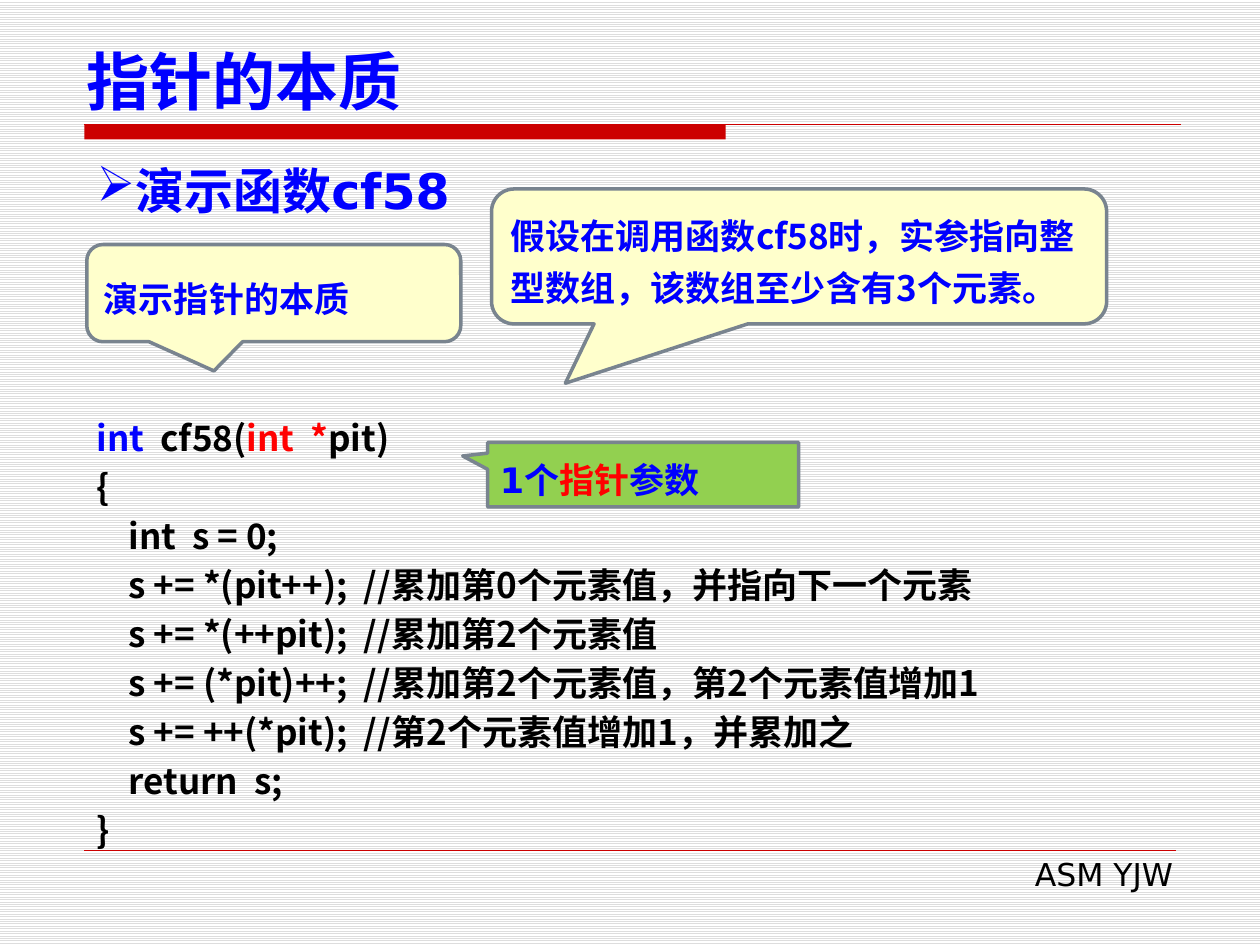
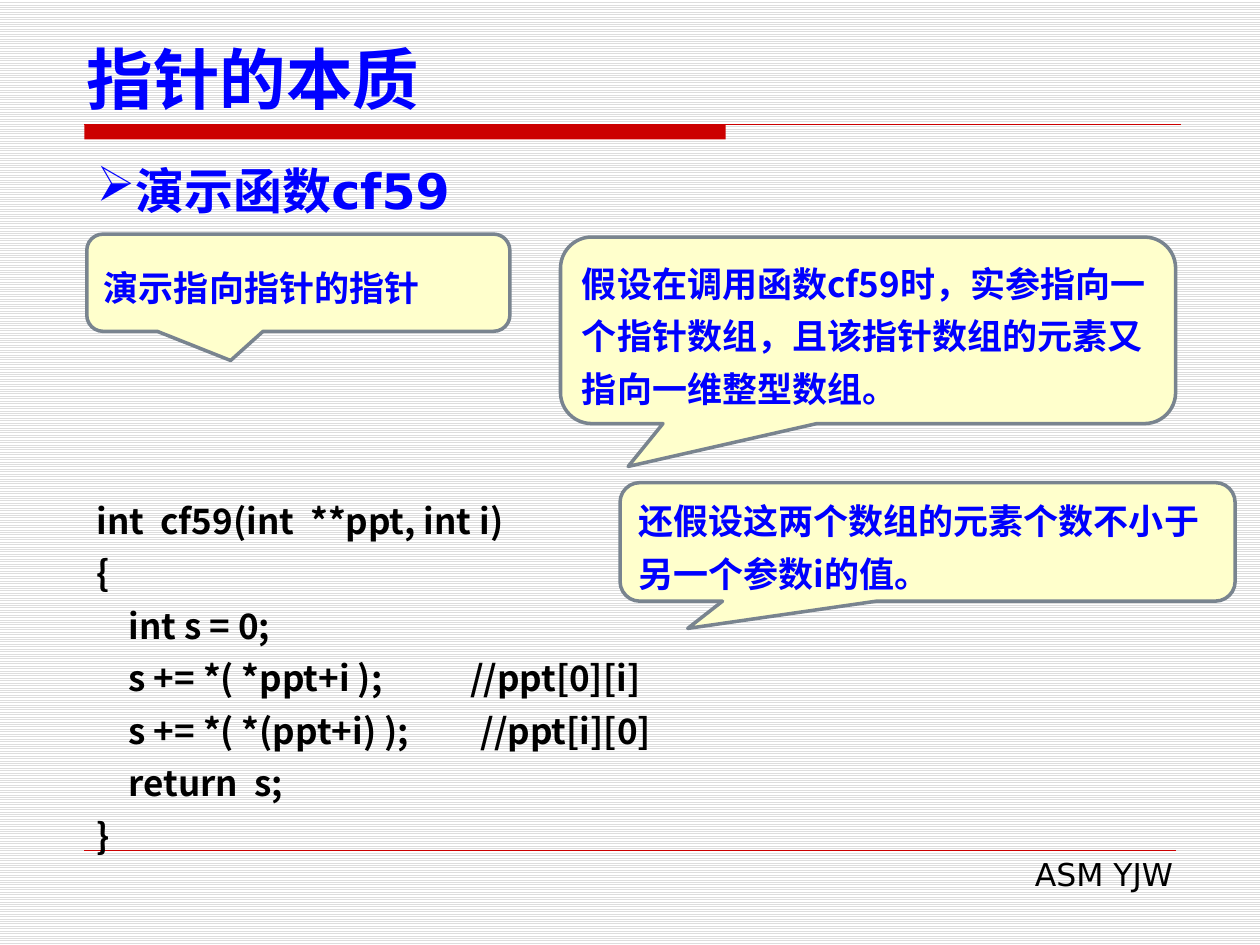
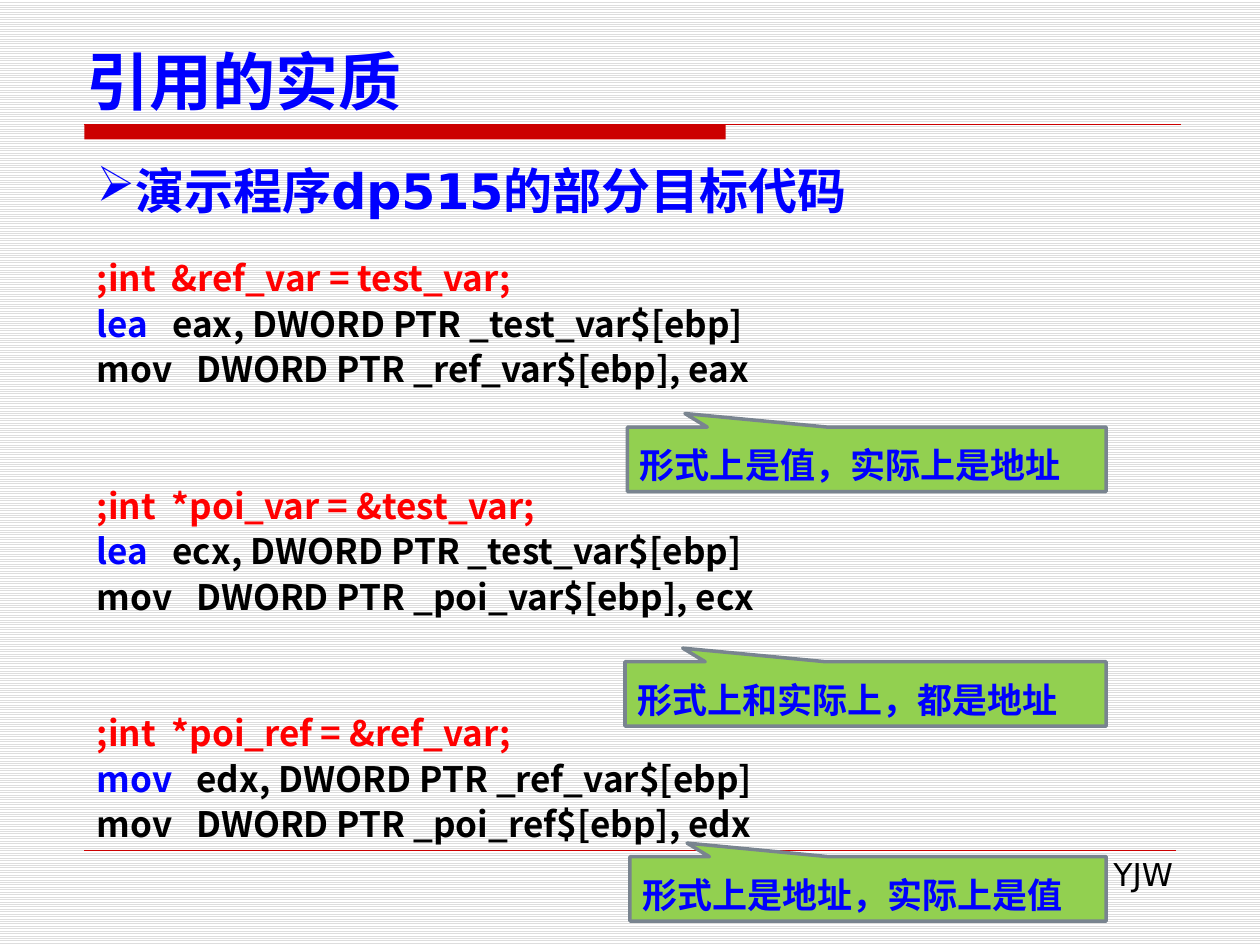
from lxml.etree import SubElement
from pptx import Presentation
from pptx.dml.color import RGBColor
from pptx.enum.dml import MSO_PATTERN
from pptx.enum.shapes import MSO_CONNECTOR, MSO_SHAPE
from pptx.enum.text import MSO_ANCHOR, PP_ALIGN
from pptx.oxml.ns import qn
from pptx.util import Cm, Pt

COLORS = {
    "blue": "0000FF", "red": "FF0000", "black": "000000", "white": "FFFFFF",
    "stripe": "DDDDDD", "rule": "CC0000", "cream": "FFFFCC",
    "green": "92D050", "outline": "79848F",
}
CJK = "Noto Sans CJK SC"
LATIN = "DejaVu Sans"
LEFT = 1.7
NOTE_POINTER = (-0.39, 0.73, 0.167)
TOPIC_POINTER = (-0.16, 0.8, 0.167)
LABEL_POINTER = (-0.38, -0.71)


def color(name):
    return RGBColor.from_string(COLORS[name])


class Deck:
    """Holds the shared style and the current slide."""

    def __init__(self):
        self.presentation = Presentation()
        self.presentation.slide_width = Cm(25.4)
        self.presentation.slide_height = Cm(19.05)
        self.slide = None

    def new_slide(self, title, heading, title_size=36, title_font=CJK):
        layout = self.presentation.slide_layouts[6]
        self.slide = self.presentation.slides.add_slide(layout)
        background = self.slide.background.fill
        background.patterned()
        background.pattern = MSO_PATTERN.LIGHT_HORIZONTAL
        background.fore_color.rgb = color("stripe")
        background.back_color.rgb = color("white")

        # Title band and footer
        self.shape(MSO_SHAPE.RECTANGLE, (LEFT, 2.51, 12.93, 0.3), "rule")
        self.rule(2.51, 23.8, 0.75)
        self.rule(17.15, 23.7, 0.25)
        footer = self.text_box((9.7, 17.12, 14.2, 1.02))
        self.paragraph(footer, [("ASM YJW", "black")], 18, LATIN, bold=False,
                       align=PP_ALIGN.RIGHT)

        # Title and heading
        frame = self.text_box((1.5, 0.71, 23, 1.8))
        frame.vertical_anchor = MSO_ANCHOR.BOTTOM
        self.paragraph(frame, [(title, "blue")], title_size, title_font)
        frame = self.text_box((LEFT, 3.12, 22, 1.45))
        self.paragraph(frame, [(heading, "blue")], 28, LATIN,
                       align=PP_ALIGN.JUSTIFY, bullet="➢")

    def shape(self, kind, box, fill):
        shape = self.slide.shapes.add_shape(kind, *map(Cm, box))
        shape.shadow.inherit = False
        shape.fill.solid()
        shape.fill.fore_color.rgb = color(fill)
        shape.line.fill.background()
        return shape

    def rule(self, top, right, width):
        connector = self.slide.shapes.add_connector(
            MSO_CONNECTOR.STRAIGHT, Cm(LEFT), Cm(top), Cm(right), Cm(top))
        connector.line.color.rgb = color("rule")
        connector.line.width = Pt(width)
        SubElement(connector._element.spPr, qn("a:effectLst"))

    def text_box(self, box):
        frame = self.slide.shapes.add_textbox(*map(Cm, box)).text_frame
        frame.word_wrap = True
        return frame

    def paragraph(self, frame, runs, size=20, font=CJK, bold=True,
                  align=PP_ALIGN.LEFT, spacing=None, before=0, bullet=None):
        """Add one paragraph; the first call fills the frame's own."""
        paragraph = frame.paragraphs[0]
        if paragraph.runs:
            paragraph = frame.add_paragraph()
        paragraph.alignment = align
        if spacing:
            paragraph.line_spacing = Pt(spacing)
        if before:
            paragraph.space_before = Pt(before)
        if bullet:
            properties = paragraph._p.get_or_add_pPr()
            SubElement(properties, qn("a:buChar")).set("char", bullet)
        for text, run_color in runs:
            run = paragraph.add_run()
            run.text = text
            run.font.size = Pt(size)
            run.font.bold = bold
            run.font.name = font
            run.font.color.rgb = color(run_color)
            SubElement(run._r.get_or_add_rPr(), qn("a:ea")).set("typeface", CJK)

    def code(self, box, lines, spacing):
        """Add code lines, each a plain string or a list of runs."""
        frame = self.text_box(box)
        for line in lines:
            runs = [(line, "black")] if isinstance(line, str) else line
            self.paragraph(frame, runs, spacing=spacing)

    def callout(self, kind, box, runs, pointer, fill, font):
        shape = self.shape(kind, box, fill)
        shape.line.color.rgb = color("outline")
        shape.line.width = Pt(2)
        for index, value in enumerate(pointer):
            shape.adjustments[index] = value
        shape.text_frame.word_wrap = True
        shape.text_frame.vertical_anchor = MSO_ANCHOR.MIDDLE
        self.paragraph(shape.text_frame, runs, font=font, spacing=30)

    def note(self, box, text, pointer=NOTE_POINTER):
        self.callout(MSO_SHAPE.ROUNDED_RECTANGULAR_CALLOUT, box,
                     [(text, "blue")], pointer, "cream", CJK)

    def label(self, box, runs, pointer=LABEL_POINTER):
        self.callout(MSO_SHAPE.RECTANGULAR_CALLOUT, box, runs, pointer,
                     "green", LATIN)


def pointer_slide(deck):
    deck.new_slide("指针的本质", "演示函数cf58")
    deck.code((LEFT, 8.13, 21.62, 9.25), [
        [("int  ", "blue"), ("cf58(", "black"), ("int  *", "red"),
         ("pit)", "black")],
        "{",
        "    int  s = 0;",
        "    s += *(pit++);  //累加第0个元素值，并指向下一个元素",
        "    s += *(++pit);  //累加第2个元素值",
        "    s += (*pit)++;  //累加第2个元素值，第2个元素值增加1",
        "    s += ++(*pit);  //第2个元素值增加1，并累加之",
        "    return  s;",
        "}",
    ], 28)
    deck.note((1.75, 4.93, 7.54, 1.96), "演示指针的本质", TOPIC_POINTER)
    deck.label((9.83, 8.92, 6.27, 1.3),
               [("1个", "blue"), ("指针", "red"), ("参数", "blue")],
               (-0.58, -0.29))
    deck.note((9.91, 3.81, 12.4, 2.72),
              "假设在调用函数cf58时，实参指向整型数组，该数组至少含有3个元素。",
              (-0.38, 0.94, 0.167))


def double_pointer_slide(deck):
    deck.new_slide("指针的本质", "演示函数cf59", 38, LATIN)
    deck.code((LEFT, 9.73, 16.81, 7.59), [
        "int  cf59(int  **ppt, int i)",
        "{",
        "    int s = 0;",
        "    s += *( *ppt+i );           //ppt[0][i]",
        "    s += *( *(ppt+i) );         //ppt[i][0]",
        "    return  s;",
        "}",
    ], 30)
    deck.note((1.75, 4.72, 8.53, 1.96), "演示指向指针的指针", TOPIC_POINTER)
    deck.note((11.3, 4.78, 12.4, 3.76),
              "假设在调用函数cf59时，实参指向一个指针数组，"
              "且该指针数组的元素又指向一维整型数组。")
    deck.note((12.5, 9.73, 12.4, 2.39),
              "还假设这两个数组的元素个数不小于另一个参数i的值。")


def reference_slide(deck):
    deck.new_slide("引用的实质", "演示程序dp515的部分目标代码")

    # Source line, load instruction, operand, store instruction
    groups = [
        (";int  &ref_var = test_var;", "lea   ",
         "eax, DWORD PTR _test_var$[ebp]",
         "mov   DWORD PTR _ref_var$[ebp], eax"),
        (";int  *poi_var = &test_var;", "lea   ",
         "ecx, DWORD PTR _test_var$[ebp]",
         "mov   DWORD PTR _poi_var$[ebp], ecx"),
        (";int  *poi_ref = &ref_var;", "mov   ",
         "edx, DWORD PTR _ref_var$[ebp]",
         "mov   DWORD PTR _poi_ref$[ebp], edx"),
    ]
    spacing = 26
    frame = deck.text_box((LEFT, 4.98, 21.62, 12.29))
    for index, (source, load, operand, store) in enumerate(groups):
        deck.paragraph(frame, [(source, "red")], spacing=spacing,
                       before=2 * spacing if index else 0)
        deck.paragraph(frame, [(load, "blue"), (operand, "black")],
                       spacing=spacing)
        deck.paragraph(frame, [(store, "black")], spacing=spacing)

    # Labels share their right edge
    right = 22.3
    for left, top, text in [
        (12.65, 8.61, "形式上是值，实际上是地址"),
        (12.6, 13.34, "形式上和实际上，都是地址"),
        (12.7, 17.27, "形式上是地址，实际上是值"),
    ]:
        deck.label((left, top, right - left, 1.3), [(text, "blue")])


def main():
    deck = Deck()
    pointer_slide(deck)
    double_pointer_slide(deck)
    reference_slide(deck)
    deck.presentation.save("out.pptx")


if __name__ == "__main__":
    main()
